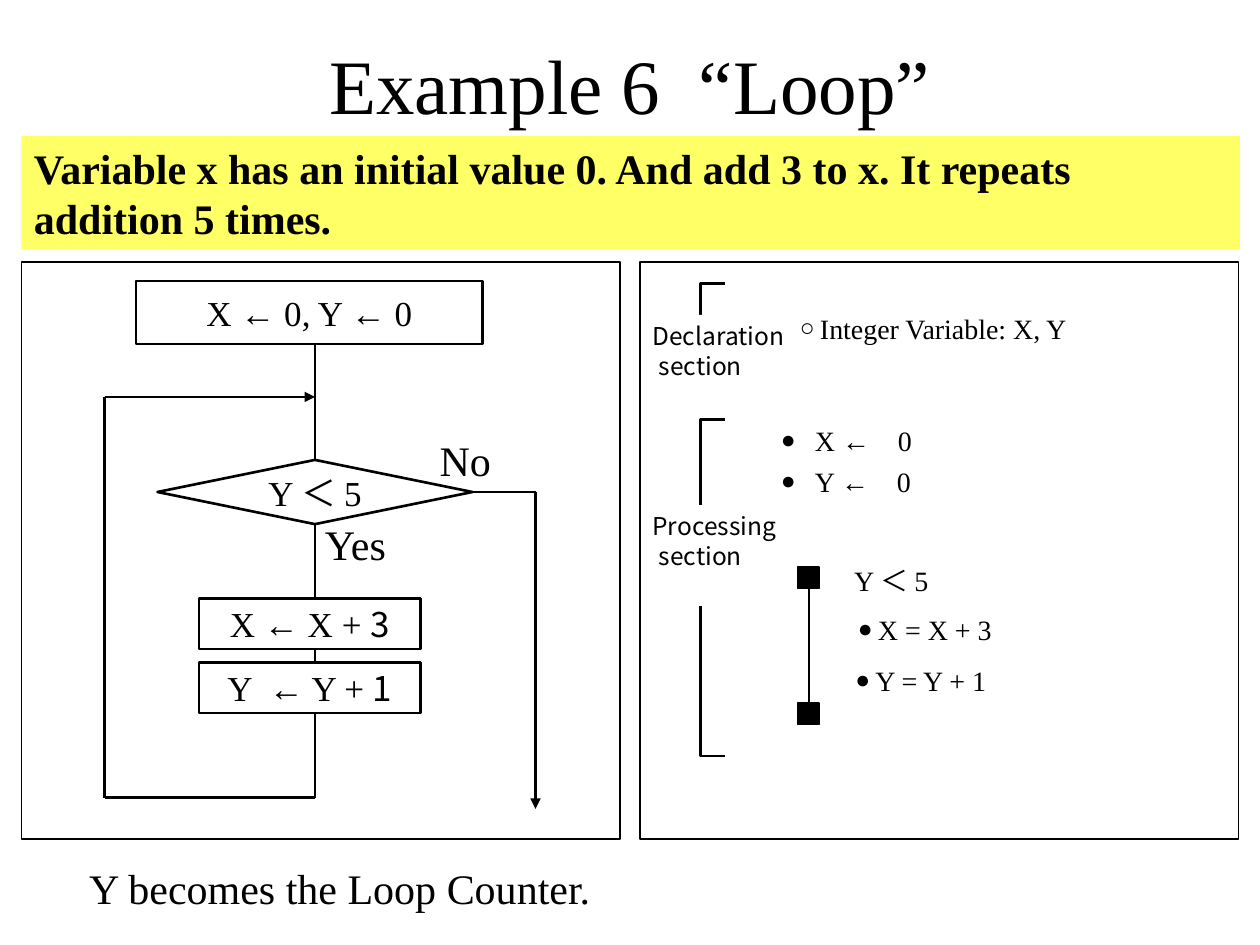
from dataclasses import dataclass

from lxml.etree import SubElement
from pptx import Presentation
from pptx.dml.color import RGBColor
from pptx.enum.shapes import MSO_CONNECTOR, MSO_SHAPE as Preset
from pptx.enum.text import MSO_ANCHOR as Anchor, PP_ALIGN as Align
from pptx.oxml.ns import qn
from pptx.util import Inches, Pt


@dataclass(frozen=True)
class Theme:
    ink: RGBColor = RGBColor(0, 0, 0)
    paper: RGBColor = RGBColor(255, 255, 255)
    highlight: RGBColor = RGBColor(255, 255, 102)
    serif: str = "Times New Roman"
    sans: str = "Noto Sans CJK JP"
    title: int = 44
    heading: int = 24
    flow: int = 20
    code: int = 16
    section: int = 14
    thin: float = 0.75
    thick: float = 1.5


theme = Theme()

TITLE = "Example 6  “Loop”"
TASK = "Variable x has an initial value 0. And add 3 to x. It repeats addition 5 times."

PANEL_TOP, PANEL_W, PANEL_H = 2.08, 4.75, 4.58
PANEL_LEFTS = (0.17, 5.08)

MAIN_X, LOOP_X, EXIT_X = 2.5, 0.83, 4.25
START_BOTTOM, LOOP_TOP, LOOP_BOTTOM, EXIT_BOTTOM = 2.73, 3.15, 6.33, 6.42
DECISION = (1.25, 3.65, 2.5, 0.51)
DECISION_RIGHT = DECISION[0] + DECISION[2]
DECISION_Y = DECISION[1] + DECISION[3] / 2

FLOW_LINES = [
    ((MAIN_X, START_BOTTOM), (MAIN_X, LOOP_BOTTOM), False),
    ((LOOP_X, LOOP_TOP), (LOOP_X, LOOP_BOTTOM), False),
    ((LOOP_X, LOOP_TOP), (MAIN_X, LOOP_TOP), True),
    ((LOOP_X, LOOP_BOTTOM), (MAIN_X, LOOP_BOTTOM), False),
    ((EXIT_X, DECISION_Y), (EXIT_X, EXIT_BOTTOM), True),
]
FLOW_STEPS = [
    (Preset.FLOWCHART_PROCESS, (1.08, 2.23, 2.75, 0.5), [("X ← 0, Y ← 0", theme.serif)]),
    (Preset.FLOWCHART_PROCESS, (1.58, 4.75, 1.76, 0.4), [("X ← X + ", theme.serif), ("3", theme.sans)]),
    (Preset.FLOWCHART_PROCESS, (1.58, 5.26, 1.76, 0.4), [("Y  ← Y + ", theme.serif), ("1", theme.sans)]),
    (Preset.FLOWCHART_DECISION, DECISION, [("Y ＜ 5", theme.serif)]),
]
CAPTIONS = [
    ("No", (3.39, 3.4, 0.61, 0.5)),
    ("Yes", (2.48, 4.07, 0.72, 0.5)),
    ("Y becomes the Loop Counter.", (0.61, 6.8, 4.21, 0.5)),
]

BRACKET_LEFT, BRACKET_RIGHT = 5.56, 5.75
SECTIONS = [
    (("Declaration", "section"), 2.5, (2.25, 3.25)),
    (("Processing", "section"), 4.01, (3.33, 6)),
]
STATEMENTS = [
    ("Integer Variable: X, Y", "○", 0.16, (6.25, 2.42, 3.33, 0.37)),
    ("X ←　0", "●", 0.27, (6.1, 3.31, 1.6, 0.37)),
    ("Y ←　0", "●", 0.27, (6.1, 3.64, 1.6, 0.37)),
    ("Y ＜ 5", None, 0, (6.68, 4.42, 2.07, 0.37)),
    ("X = X + 3", "●", 0.16, (6.71, 4.81, 1.5, 0.37)),
    ("Y = Y + 1", "●", 0.16, (6.69, 5.22, 1.5, 0.37)),
]
LOOP_BAR = ((6.42, 4.63), (6.42, 5.67))
LOOP_ENDS = [(6.33, top, 0.17, 0.17) for top in (4.5, 5.58)]


def inches(values):
    return [Inches(value) for value in values]


def add_run(paragraph, words, size, font=theme.serif, bold=False):
    run = paragraph.add_run()
    run.text = words
    run.font.name, run.font.size, run.font.bold = font, Pt(size), bold
    run.font.color.rgb = theme.ink


def add_box(slide, preset, place, fill=None, line=None):
    box = slide.shapes.add_shape(preset, *inches(place))
    box.shadow.inherit = False
    if fill is None:
        box.fill.background()
    else:
        box.fill.solid()
        box.fill.fore_color.rgb = fill
    if line is None:
        box.line.fill.background()
    else:
        box.line.color.rgb = theme.ink
        box.line.width = Pt(line)
    box.text_frame.vertical_anchor = Anchor.TOP
    box.text_frame.paragraphs[0].alignment = Align.LEFT
    return box


def add_label(slide, words, size, place, wrap=False):
    label = slide.shapes.add_textbox(*inches(place))
    label.text_frame.word_wrap = wrap
    paragraph = label.text_frame.paragraphs[0]
    add_run(paragraph, words, size)
    return paragraph


def add_bullet(paragraph, mark, indent):
    properties = paragraph._p.get_or_add_pPr()
    properties.set("marL", str(Inches(indent)))
    properties.set("indent", str(-Inches(indent)))
    SubElement(properties, qn("a:buSzPct"), val="88000")
    SubElement(properties, qn("a:buFont"), typeface=theme.serif)
    SubElement(properties, qn("a:buChar"), char=mark)


def add_line(slide, start, end, arrow=False):
    line = slide.shapes.add_connector(MSO_CONNECTOR.STRAIGHT, *inches(start + end))
    line.line.color.rgb = theme.ink
    line.line.width = Pt(theme.thick)
    if arrow:
        SubElement(line.line._get_or_add_ln(), qn("a:tailEnd"), type="triangle")
    SubElement(line._element.spPr, qn("a:effectLst"))
    return line


def add_bracket(slide, top, bottom):
    outline = slide.shapes.build_freeform(Inches(BRACKET_RIGHT), Inches(top))
    corners = [(BRACKET_LEFT, top), (BRACKET_LEFT, bottom), (BRACKET_RIGHT, bottom)]
    outline.add_line_segments([inches(corner) for corner in corners], close=False)
    bracket = outline.convert_to_shape()
    bracket.shadow.inherit = False
    bracket.fill.background()
    bracket.line.color.rgb = theme.ink
    bracket.line.width = Pt(theme.thick)


def add_heading(slide):
    title = slide.shapes.title
    title.left, title.top, title.width, title.height = inches((0.75, 0.25, 8.5, 0.83))
    title.text_frame.vertical_anchor = Anchor.MIDDLE
    title.text_frame.paragraphs[0].alignment = Align.CENTER
    add_run(title.text_frame.paragraphs[0], TITLE, theme.title)
    task = add_box(slide, Preset.RECTANGLE, (0.17, 1.08, 9.67, 0.9), theme.highlight)
    add_run(task.text_frame.paragraphs[0], TASK, theme.heading, bold=True)


def add_flowchart(slide):
    for start, end, arrow in FLOW_LINES:
        add_line(slide, start, end, arrow)
    for preset, place, parts in FLOW_STEPS:
        step = add_box(slide, preset, place, theme.paper, theme.thick)
        step.text_frame.word_wrap = False
        step.text_frame.vertical_anchor = Anchor.MIDDLE
        paragraph = step.text_frame.paragraphs[0]
        paragraph.alignment = Align.CENTER
        for words, font in parts:
            add_run(paragraph, words, theme.flow, font)
        if preset == Preset.FLOWCHART_DECISION:
            no_branch = add_line(slide, (DECISION_RIGHT, DECISION_Y), (EXIT_X, DECISION_Y))
            no_branch.begin_connect(step, 3)
    for words, place in CAPTIONS:
        add_label(slide, words, theme.heading, place)


def add_pseudocode(slide):
    for (name, suffix), top, span in SECTIONS:
        add_bracket(slide, *span)
        section = add_box(slide, Preset.RECTANGLE, (5.08, top, 1.33, 0.8), theme.paper)
        add_run(section.text_frame.paragraphs[0], name, theme.section, theme.sans)
        second = section.text_frame.add_paragraph()
        second.alignment = Align.LEFT
        second._p.get_or_add_pPr().set("marL", str(Inches(0.05)))
        add_run(second, suffix, theme.section, theme.sans)
    for words, mark, indent, place in STATEMENTS:
        paragraph = add_label(slide, words, theme.code, place, wrap=True)
        if mark:
            add_bullet(paragraph, mark, indent)
    add_line(slide, *LOOP_BAR)
    for place in LOOP_ENDS:
        add_box(slide, Preset.RECTANGLE, place, theme.ink, theme.thin)


def main():
    deck = Presentation()
    deck.slide_width, deck.slide_height = Inches(10), Inches(7.5)
    slide = deck.slides.add_slide(deck.slide_layouts[5])
    add_heading(slide)
    add_flowchart(slide)
    add_pseudocode(slide)
    for left in PANEL_LEFTS:
        add_box(slide, Preset.RECTANGLE, (left, PANEL_TOP, PANEL_W, PANEL_H), line=theme.thin)
    deck.save("out.pptx")


if __name__ == "__main__":
    main()
